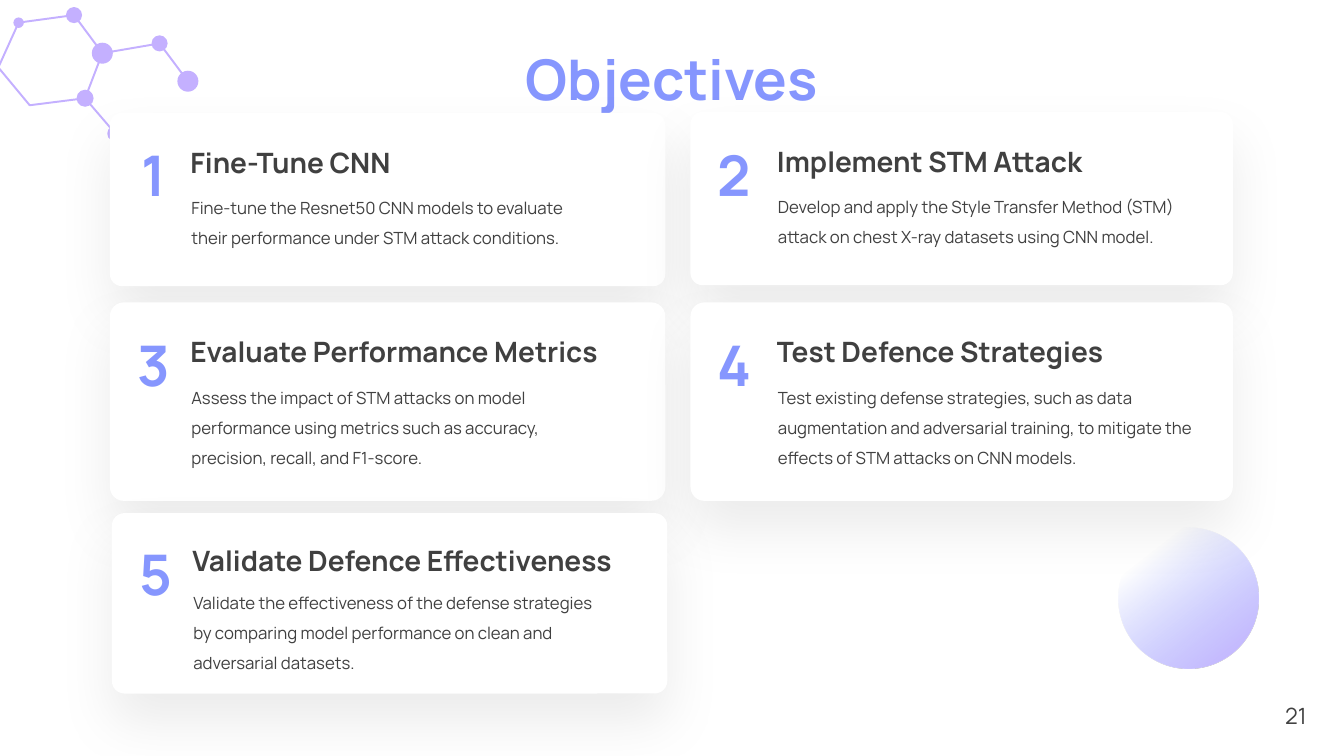
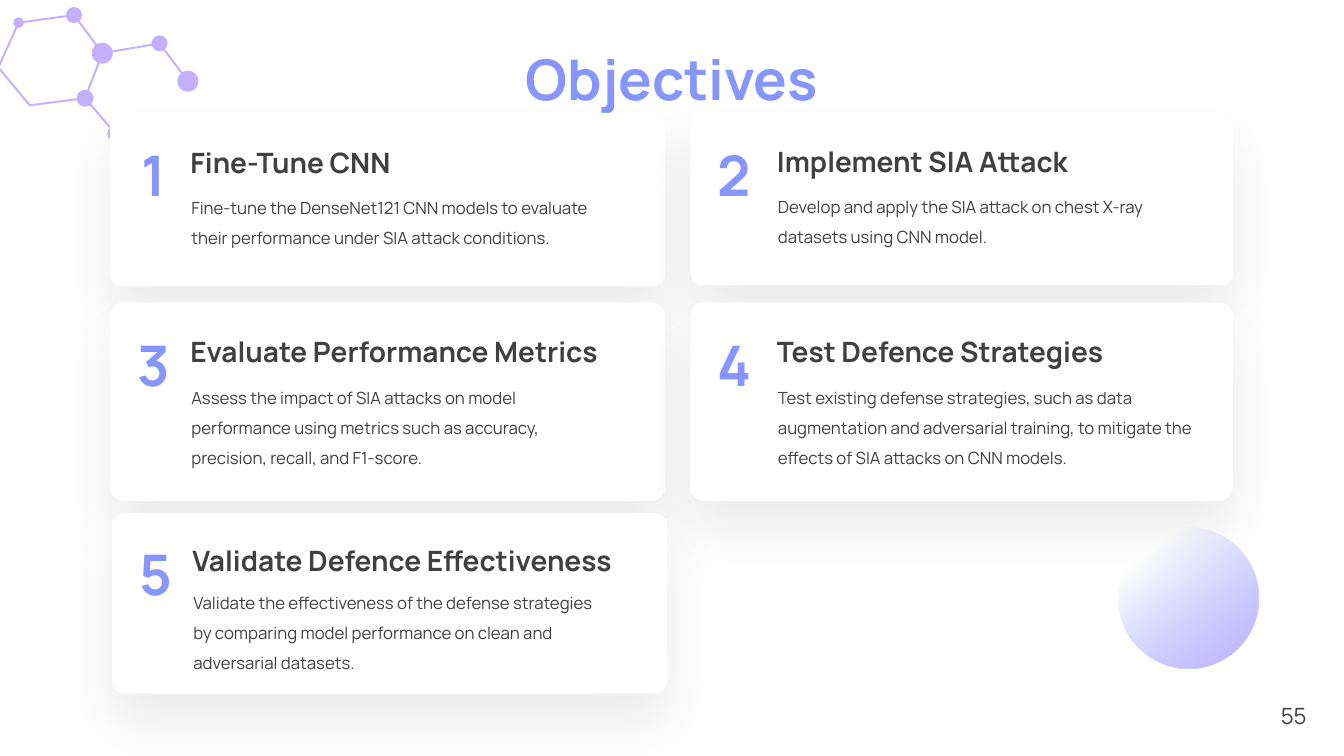
import pptx
import pptx.dml.color
import pptx.enum.shapes
import pptx.enum.text
import pptx.oxml
import pptx.oxml.ns
import pptx.util

Pt = pptx.util.Pt
SHAPE = pptx.enum.shapes.MSO_SHAPE
ALIGN = pptx.enum.text.PP_ALIGN
ANCHOR = pptx.enum.text.MSO_ANCHOR
AUTO = pptx.enum.text.MSO_AUTO_SIZE

BLUE, LILAC, INK, WHITE = "8696FE", "C4B0FF", "404040", "FFFFFF"
FONT = "Manrope"
BIG = {"size": Pt(40), "bold": True}
HEADING = {"size": Pt(20), "bold": True}
BODY = {"size": Pt(12)}
PAGE_NUMBER = {"size": Pt(16)}

# Molecule atoms: centre x, centre y, diameter
ATOMS = {
    "small": (13.3, 16.2, 7.5),
    "top": (52.9, 10.8, 11.5),
    "hub": (73.1, 38, 15),
    "low": (60.8, 70.2, 12.2),
    "foot": (82.4, 95.4, 11.5),
    "branch": (114, 31, 11.5),
    "tip": (134.2, 58, 15),
}
BARE_CORNERS = [(21.2, 75.2), (-1.2, 48.2)]

# Cards: left, top, width, height, heading indent, body width, body drop
CARDS = [
    (78.5, 80.6, 396.7, 123.8, 50.4, 306, 49.8),
    (493.2, 79.9, 387.4, 123.8, 54.7, 326, 49.8),
    (78.5, 216, 396.7, 141.8, 50.4, 306, 50.2),
    (493.2, 216, 387.4, 141.8, 54.7, 326, 50.2),
    (79.9, 366.5, 396.7, 128.9, 50.4, 306, 46.1),
]


def colour(hex_value):
    return pptx.dml.color.RGBColor.from_string(hex_value)


def drawing_xml(markup):
    """Parse a DrawingML element, adding the namespace to its first tag."""
    tag, rest = markup.split(" ", 1)
    return pptx.oxml.parse_xml(f'{tag} {pptx.oxml.ns.nsdecls("a")} {rest}')


class Deck:
    """Holds the shared style and the slide being built."""

    def __init__(self):
        self.file = pptx.Presentation()
        self.file.slide_width, self.file.slide_height = Pt(960), Pt(540)
        self.shapes = None

    def new_slide(self, title, page):
        slide = self.file.slides.add_slide(self.file.slide_layouts[6])
        slide.background.fill.solid()
        slide.background.fill.fore_color.rgb = colour(WHITE)
        self.shapes = slide.shapes
        self.text(page, 724.4, 496.8, 216, 28.8, INK, PAGE_NUMBER,
                  align=ALIGN.RIGHT, anchor=ANCHOR.MIDDLE)
        self.gradient_circle(799.2, 377.2, 100)
        self.molecule()
        self.text(title, 240, 28, 480, 55.4, BLUE, BIG, align=ALIGN.CENTER)

    def text(self, words, left, top, width, height, ink, font_format,
             align=ALIGN.LEFT, anchor=ANCHOR.TOP, spacing=None):
        box = self.shapes.add_textbox(Pt(left), Pt(top), Pt(width), Pt(height))
        frame = box.text_frame
        frame.word_wrap = True
        frame.auto_size = AUTO.NONE
        frame.vertical_anchor = anchor
        paragraph = frame.paragraphs[0]
        paragraph.alignment = align
        paragraph.line_spacing = spacing
        run = paragraph.add_run()
        run.text = words
        for key, value in {"name": FONT, **font_format}.items():
            setattr(run.font, key, value)
        run.font.color.rgb = colour(ink)

    def shape(self, kind, left, top, width, height, fill):
        shape = self.shapes.add_shape(kind, Pt(left), Pt(top), Pt(width), Pt(height))
        shape.shadow.inherit = False
        shape.line.fill.background()
        shape.fill.solid()
        shape.fill.fore_color.rgb = colour(fill)
        return shape

    def gradient_circle(self, left, top, diameter):
        """Circle fading from clear at upper left to lilac at lower right."""
        circle = self.shape(SHAPE.OVAL, left, top, diameter, diameter, LILAC)
        clear = f'<a:srgbClr val="{BLUE}"><a:alpha val="0"/></a:srgbClr>'
        properties = circle.element.spPr
        properties.replace(
            properties.find(pptx.oxml.ns.qn("a:solidFill")),
            drawing_xml(
                '<a:gradFill rotWithShape="1"><a:gsLst>'
                f'<a:gs pos="0">{clear}</a:gs><a:gs pos="20000">{clear}</a:gs>'
                f'<a:gs pos="100000"><a:srgbClr val="{LILAC}"/></a:gs>'
                '</a:gsLst><a:lin ang="3120000" scaled="0"/></a:gradFill>'))

    def bond_style(self, bond):
        bond.line.color.rgb = colour(LILAC)
        bond.line.width = Pt(1.4)

    def bond_path(self, points, close):
        start, *others = [(Pt(x), Pt(y)) for x, y in points]
        builder = self.shapes.build_freeform(*start, scale=1.0)
        builder.add_line_segments(others, close=close)
        path = builder.convert_to_shape()
        path.shadow.inherit = False
        path.fill.background()
        self.bond_style(path)

    def bond(self, start, end):
        line = self.shapes.add_connector(
            pptx.enum.shapes.MSO_CONNECTOR.STRAIGHT, *map(Pt, (*start, *end)))
        self.bond_style(line)
        line.element.spPr.append(drawing_xml("<a:effectLst />"))

    def molecule(self):
        centre = {atom: (x, y) for atom, (x, y, _) in ATOMS.items()}
        ring = [centre[atom] for atom in ("small", "top", "hub", "low")]
        self.bond_path(ring + BARE_CORNERS, close=True)
        self.bond_path([centre[atom] for atom in ("hub", "branch", "tip")], close=False)
        self.bond(centre["low"], centre["foot"])
        for x, y, size in ATOMS.values():
            self.shape(SHAPE.OVAL, x - size / 2, y - size / 2, size, size, LILAC)

    def card(self, number, heading, body, place):
        left, top, width, height, indent, body_width, drop = place
        panel = self.shape(SHAPE.ROUNDED_RECTANGLE, left, top, width, height, WHITE)
        panel.adjustments[0] = 0.07
        panel.element.spPr.find(pptx.oxml.ns.qn("a:effectLst")).append(drawing_xml(
            f'<a:outerShdw blurRad="{Pt(40)}" dist="{Pt(20)}" dir="5400000" '
            'algn="t" rotWithShape="0"><a:srgbClr val="000000">'
            '<a:alpha val="7000"/></a:srgbClr></a:outerShdw>'))
        rise = 50 - drop if drop < 49 else 0
        number_top = top + 16.6 - rise / 2.6
        self.text(str(number), left + 7.2, number_top, 48.2, 55.4, BLUE, BIG,
                  align=ALIGN.CENTER)
        self.text(heading, left + indent, number_top + 2.9, 330, 34, INK, HEADING)
        self.text(body, left + indent + 0.7, top + drop, body_width, 70, INK, BODY,
                  spacing=1.5)


def objectives(model, attack, method):
    """Headings and bodies of the five objectives for one attack."""
    return [
        ("Fine-Tune CNN",
         f"Fine-tune the {model} CNN models to evaluate their performance "
         f"under {attack} attack conditions."),
        (f"Implement {attack} Attack",
         f"Develop and apply the {method} attack on chest X-ray datasets "
         "using CNN model."),
        ("Evaluate Performance Metrics",
         f"Assess the impact of {attack} attacks on model performance using "
         "metrics such as accuracy, precision, recall, and F1-score."),
        ("Test Defence Strategies",
         "Test existing defense strategies, such as data augmentation and "
         "adversarial training, to mitigate the effects of "
         f"{attack} attacks on CNN models."),
        ("Validate Defence Effectiveness",
         "Validate the effectiveness of the defense strategies by comparing "
         "model performance on clean and adversarial datasets."),
    ]


def main():
    deck = Deck()
    for page, model, attack, method in [
        ("21", "Resnet50", "STM", "Style Transfer Method (STM)"),
        ("55", "DenseNet121", "SIA", "SIA"),
    ]:
        deck.new_slide("Objectives", page)
        goals = zip(objectives(model, attack, method), CARDS)
        for number, ((heading, body), place) in enumerate(goals, 1):
            deck.card(number, heading, body, place)
    deck.file.save("out.pptx")


if __name__ == "__main__":
    main()
